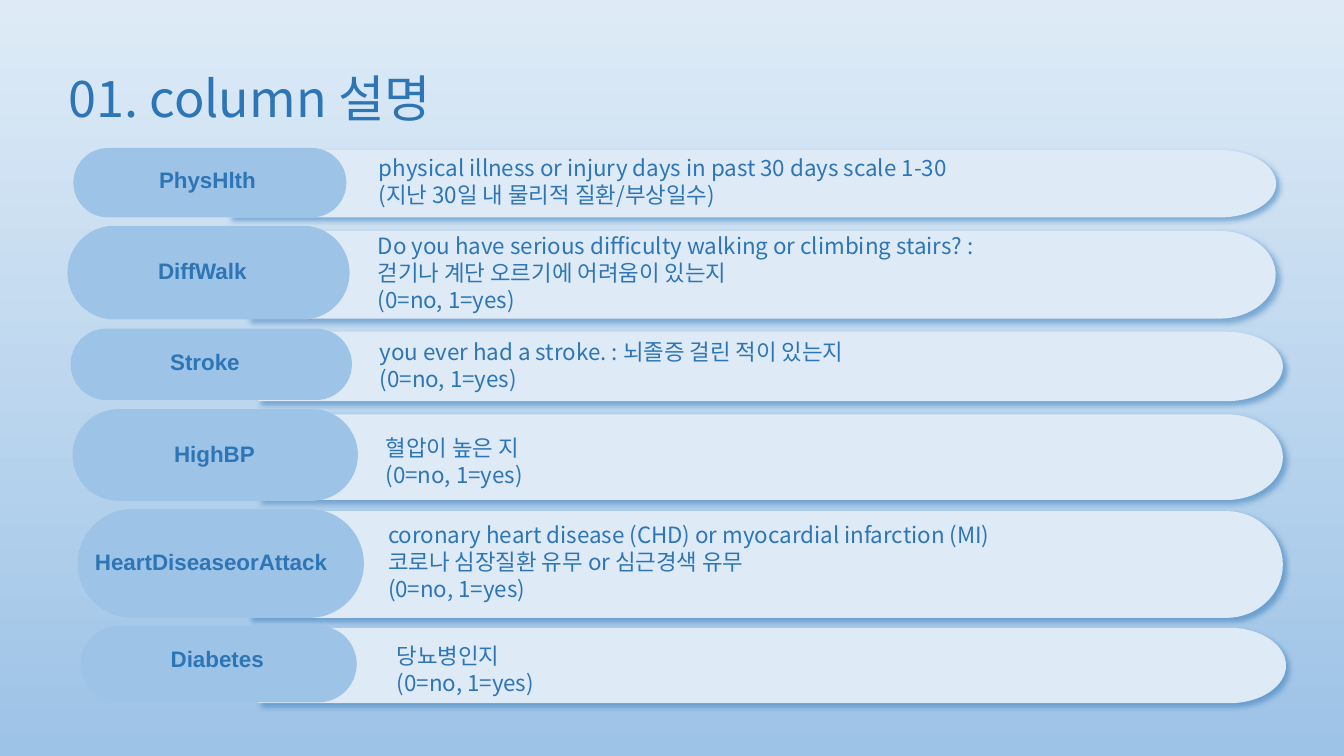
from dataclasses import dataclass

from lxml.etree import SubElement
from pptx import Presentation
from pptx.dml.color import RGBColor
from pptx.enum.shapes import MSO_SHAPE as Shape
from pptx.enum.text import MSO_ANCHOR as Anchor, MSO_AUTO_SIZE as AutoSize, PP_ALIGN as Align
from pptx.oxml.ns import qn
from pptx.util import Cm, Pt

DARK, MID, PALE = "2E75B6", "9DC3E6", "DEEBF7"
KOREAN, LATIN = "Noto Sans CJK KR", "Arial"
TIP_RADIUS, NOTCH_RADIUS, NOTCH_EDGE, NOTCH_SHARE = 1.42, 1.04, 0.1, 0.34
CURVED_SEGMENTS = (2, 3, 7, 8)
CURVE_PULL = 0.55


@dataclass
class Box:
    left: float
    top: float
    width: float
    height: float

    def emu(self) -> tuple:
        return Cm(self.left), Cm(self.top), Cm(self.width), Cm(self.height)


@dataclass
class Row:
    name: str
    lines: list[str]
    bar: Box
    pill: Box
    label: Box
    text: Box


YES_NO = "(0=no, 1=yes)"
ROWS = [
    Row("PhysHlth",
        ["physical illness or injury days in past 30 days scale 1-30",
         "(지난 30일 내 물리적 질환/부상일수)"],
        Box(5.74, 3.78, 26.42, 1.7), Box(1.85, 3.73, 6.88, 1.75),
        Box(1.24, 4.24, 7.98, 0.58), Box(9.3, 3.76, 22.3, 1.63)),
    Row("DiffWalk",
        ["Do you have serious difficulty walking or climbing stairs? :",
         "걷기나 계단 오르기에 어려움이 있는지", YES_NO],
        Box(6.22, 5.82, 25.93, 2.21), Box(1.7, 5.69, 7.11, 2.36),
        Box(0.97, 6.3, 8.26, 1.04), Box(9.27, 5.72, 22.78, 3)),
    Row("Stroke",
        ["you ever had a stroke. : 뇌졸증 걸린 적이 있는지", YES_NO],
        Box(6.5, 8.36, 25.83, 1.75), Box(1.78, 8.28, 7.09, 1.8),
        Box(1.47, 8.61, 7.39, 0.99), Box(9.32, 8.38, 19.18, 2.31)),
    Row("HighBP",
        ["혈압이 높은 지", YES_NO],
        Box(6.5, 10.44, 25.83, 2.16), Box(1.83, 10.31, 7.19, 2.31),
        Box(1.24, 10.67, 8.33, 1.5), Box(9.47, 10.8, 21.95, 2.31)),
    Row("HeartDiseaseorAttack",
        ["coronary heart disease (CHD) or myocardial infarction (MI)",
         "코로나 심장질환 유무 or 심근경색 유무", YES_NO],
        Box(6.27, 12.88, 26.06, 2.69), Box(1.96, 12.83, 7.21, 2.74),
        Box(1.47, 13.44, 7.7, 1.42), Box(9.53, 13, 22.25, 3)),
    Row("Diabetes",
        ["당뇨병인지", YES_NO],
        Box(6.5, 15.82, 25.91, 1.9), Box(2.03, 15.77, 6.96, 1.93),
        Box(1.45, 16.08, 8.05, 1.02), Box(9.75, 16.05, 22.3, 2.31)),
]


def rgb(color: str) -> RGBColor:
    return RGBColor.from_string(color)


def paint(sp, color: str) -> None:
    """Give a plain fill with no outline and no inherited shadow."""
    sp.shadow.inherit = False
    sp.fill.solid()
    sp.fill.fore_color.rgb = rgb(color)
    sp.line.fill.background()


def add_shadow(sp) -> None:
    effects = sp._element.spPr.find(qn("a:effectLst"))
    shadow = SubElement(effects, qn("a:outerShdw"), blurRad=str(Pt(4)), dist=str(Pt(3)),
                        dir=str(45 * 60000), algn="tl", rotWithShape="0")
    color = SubElement(shadow, qn("a:srgbClr"), val=DARK)
    SubElement(color, qn("a:alpha"), val="50000")


def style_text(tf, size: float, font: str, bold: bool = False) -> None:
    for p in tf.paragraphs:
        for r in p.runs:
            r.font.size, r.font.name, r.font.bold = Pt(size), font, bold
            r.font.color.rgb = rgb(DARK)
            SubElement(r.font._element, qn("a:ea"), typeface=font)


def round_segments(sp) -> None:
    """Turn the tip and notch segments into quarter ellipses."""
    path = next(sp._element.iter(qn("a:path")))
    steps = list(path)
    points = [(int(pt.get("x")), int(pt.get("y"))) for pt in path.iter(qn("a:pt"))]
    for i in CURVED_SEGMENTS:
        ends = points[i - 1], points[i]
        corner = max(ends)[0], min(ends)[1]
        steps[i].tag = qn("a:cubicBezTo")
        for place, end in enumerate(ends):
            x, y = (round(e + CURVE_PULL * (c - e)) for e, c in zip(end, corner))
            control = SubElement(steps[i], qn("a:pt"), x=str(x), y=str(y))
            steps[i].insert(place, control)


def add_bar(shapes, box: Box) -> None:
    """Draw a bar with a rounded right tip and a rounded notch on the left."""
    left, top, right, bottom = box.left, box.top, box.left + box.width, box.top + box.height
    middle, notch = (top + bottom) / 2, NOTCH_SHARE * box.height
    outline = [
        (right - TIP_RADIUS, top), (right, middle), (right - TIP_RADIUS, bottom),
        (left, bottom), (left, middle + notch), (left + NOTCH_EDGE, middle + notch),
        (left + NOTCH_RADIUS, middle),
        (left + NOTCH_EDGE, middle - notch), (left, middle - notch),
    ]
    builder = shapes.build_freeform(Cm(left), Cm(top), scale=1.0)
    builder.add_line_segments([(Cm(x), Cm(y)) for x, y in outline])
    sp = builder.convert_to_shape()
    round_segments(sp)
    paint(sp, PALE)
    add_shadow(sp)


def add_name(shapes, row: Row) -> None:
    group = shapes.add_group_shape()
    pill = group.shapes.add_shape(Shape.ROUNDED_RECTANGLE, *row.pill.emu())
    pill.adjustments[0] = 0.5
    paint(pill, MID)
    tf = group.shapes.add_textbox(*row.label.emu()).text_frame
    tf.word_wrap = True
    tf.vertical_anchor = Anchor.MIDDLE
    tf.text = row.name
    tf.paragraphs[0].alignment = Align.CENTER
    style_text(tf, 16, LATIN, bold=True)


def add_description(shapes, row: Row) -> None:
    tf = shapes.add_textbox(*row.text.emu()).text_frame
    tf.word_wrap = True
    tf.auto_size = AutoSize.SHAPE_TO_FIT_TEXT
    tf.text = "\n".join(row.lines)
    for p in tf.paragraphs:
        p.line_spacing = Pt(19.3)
    style_text(tf, 16, KOREAN)


def set_background(master) -> None:
    fill = master.background.fill
    fill.gradient()
    fill.gradient_angle = 270
    for stop, color in zip(fill.gradient_stops, (PALE, MID)):
        stop.color.rgb = rgb(color)


def set_title(s, text: str) -> None:
    title = s.shapes.title
    title.left, title.top, title.width, title.height = Box(1.47, 1.35, 30.94, 2.39).emu()
    tf = title.text_frame
    tf.text = text
    tf.vertical_anchor = Anchor.MIDDLE
    tf.paragraphs[0].alignment = Align.LEFT
    tf.paragraphs[0].line_spacing = 0.9
    style_text(tf, 36, KOREAN)


def main() -> None:
    prs = Presentation()
    prs.slide_width, prs.slide_height = Cm(33.87), Cm(19.05)
    set_background(prs.slide_master)
    s = prs.slides.add_slide(prs.slide_layouts[5])
    set_title(s, "01. column 설명")
    for row in ROWS:
        add_bar(s.shapes, row.bar)
    for row in ROWS:
        add_name(s.shapes, row)
        add_description(s.shapes, row)
    prs.save("out.pptx")


if __name__ == "__main__":
    main()
